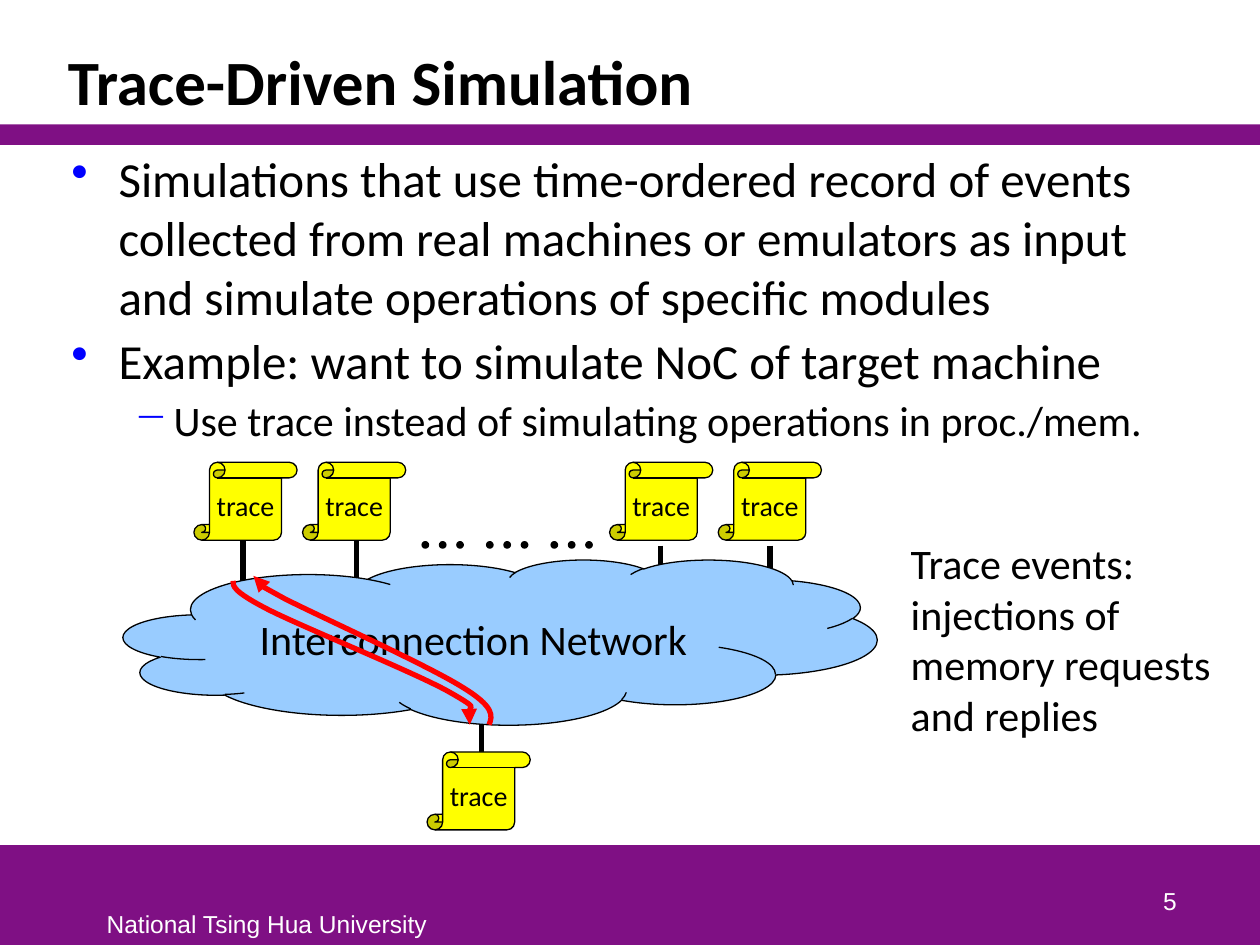
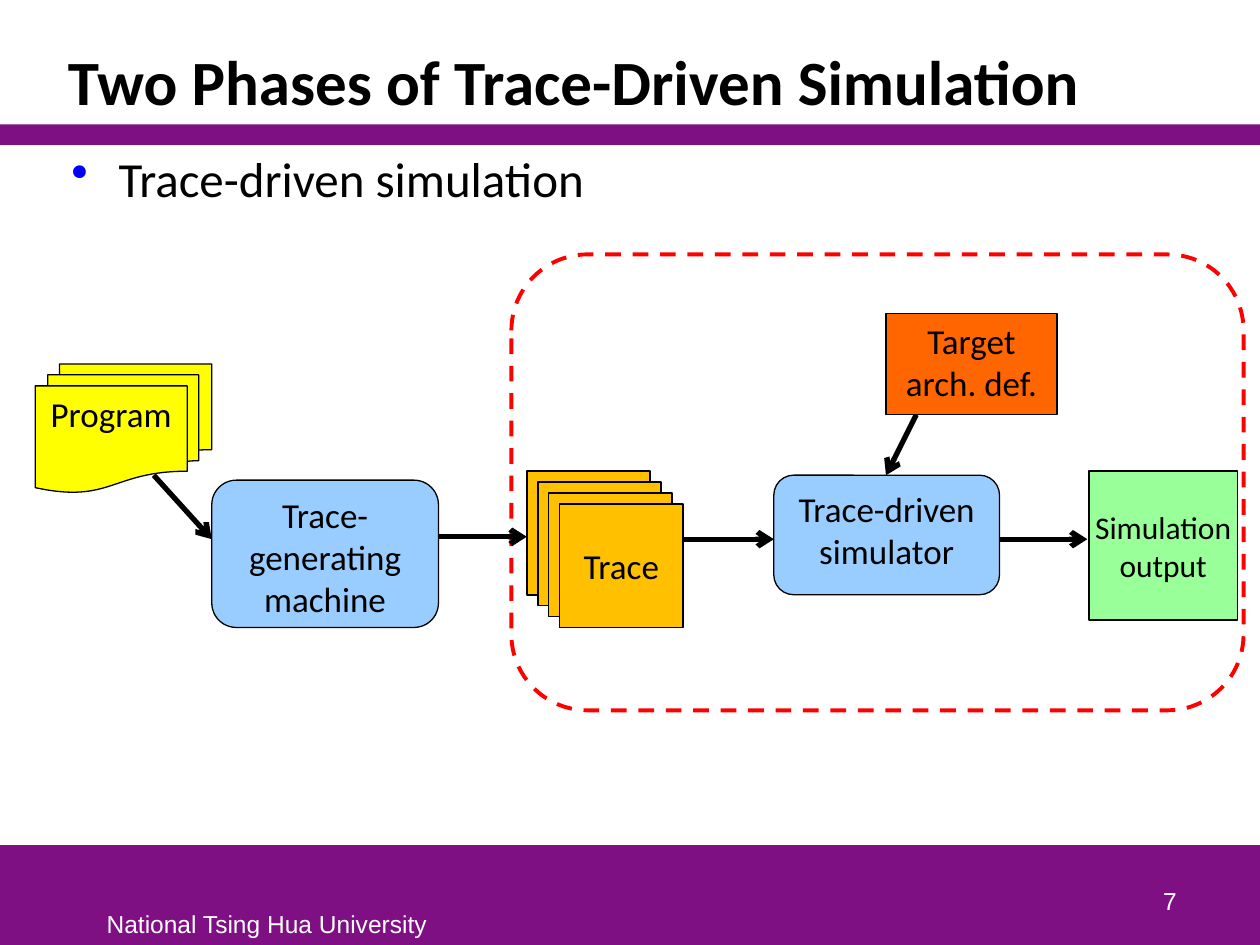
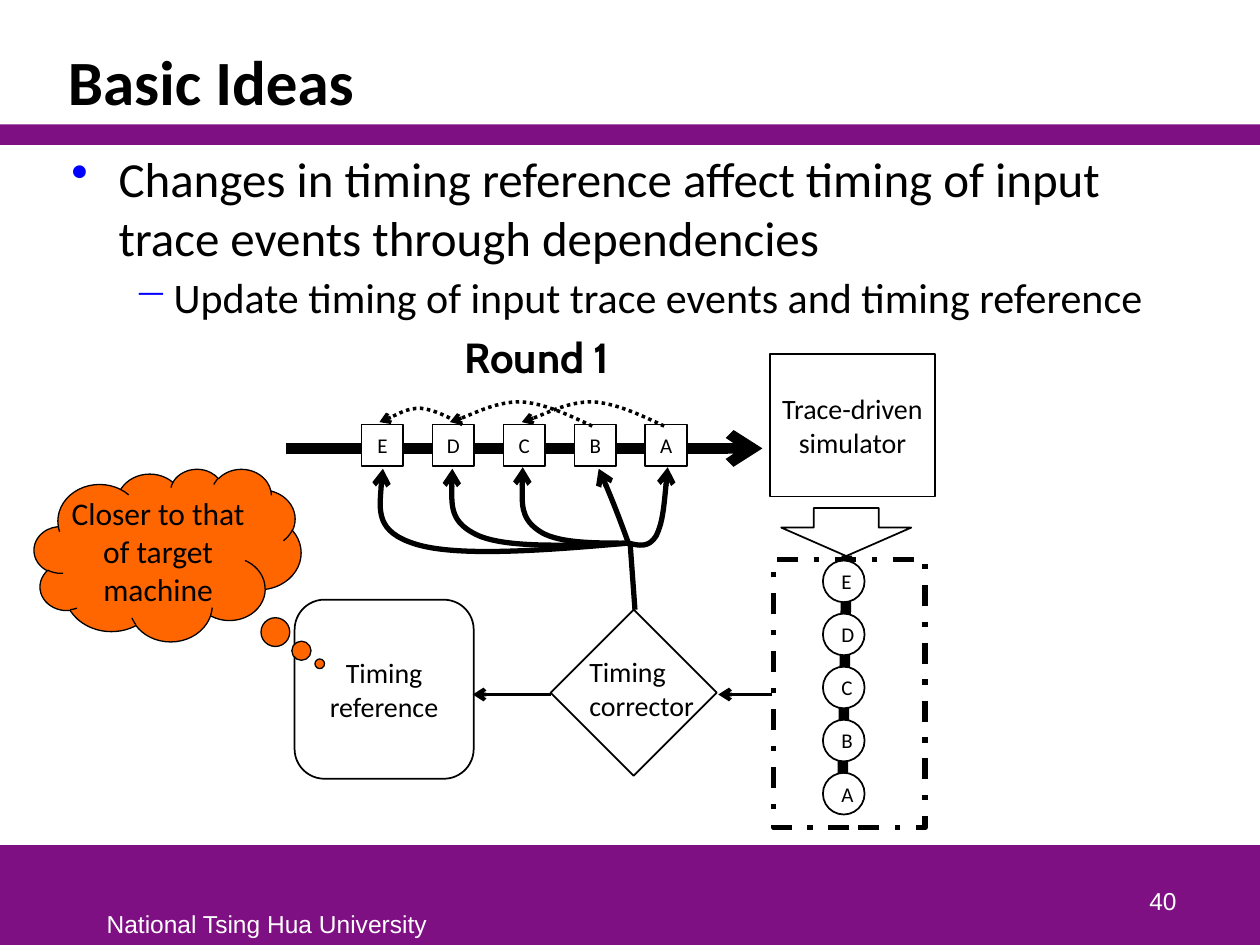
from dataclasses import dataclass
from typing import NamedTuple, Optional

from lxml.etree import SubElement
from pptx import Presentation
from pptx.dml.color import RGBColor
from pptx.enum.dml import MSO_LINE as Dash
from pptx.enum.shapes import MSO_CONNECTOR, MSO_SHAPE as Preset
from pptx.enum.text import MSO_ANCHOR as Anchor, PP_ALIGN as Align
from pptx.oxml.ns import qn
from pptx.shapes.base import BaseShape
from pptx.slide import Slide
from pptx.text.text import TextFrame
from pptx.util import Cm, Pt

PURPLE = RGBColor(0x7F, 0x10, 0x84)
WHITE = RGBColor(0xFF, 0xFF, 0xFF)
BLACK = RGBColor(0x00, 0x00, 0x00)
RED = RGBColor(0xFF, 0x00, 0x00)
YELLOW = RGBColor(0xFF, 0xFF, 0x00)
SKY = RGBColor(0x99, 0xCC, 0xFF)
AMBER = RGBColor(0xFF, 0xC0, 0x00)
ORANGE = RGBColor(0xFF, 0x66, 0x00)
MINT = RGBColor(0x99, 0xFF, 0x99)
BULLET_HEX = "0000FF"

UNIVERSITY = "National Tsing Hua University"


class Box(NamedTuple):
    """Left, top, width and height in centimetres."""
    left: float
    top: float
    width: float
    height: float


class Point(NamedTuple):
    """Position in centimetres."""
    x: float
    y: float


@dataclass(frozen=True)
class Style:
    """Look of the text in one box."""
    size: float
    font: str = "Calibri"
    color: RGBColor = BLACK
    bold: bool = False
    align: Align = Align.LEFT
    anchor: Anchor = Anchor.TOP
    wrap: bool = True
    tight: bool = False
    spacing: Optional[float] = None


@dataclass(frozen=True)
class Stroke:
    width: float = 0.75
    color: RGBColor = BLACK
    dash: Optional[Dash] = None
    arrow: Optional[str] = None


@dataclass(frozen=True)
class Node:
    preset: Preset
    box: Box
    fill: Optional[RGBColor] = WHITE
    stroke: Optional[Stroke] = Stroke()
    lines: tuple[str, ...] = ()
    style: Optional[Style] = None
    adjustments: tuple[float, ...] = ()


@dataclass(frozen=True)
class Level:
    marker: str
    size: float
    margin: float
    hanging: float


@dataclass(frozen=True)
class Bullet:
    text: str
    level: Level


MAIN = Level("•", 28, 0.95, 0.95)
SUB = Level("−", 24, 2.06, 0.79)

TITLE = Style(36, bold=True, anchor=Anchor.BOTTOM, spacing=0.85)
FOOTER = Style(14, "Arial", WHITE, wrap=False)
PAGE_NUMBER = Style(14, "Arial", WHITE, align=Align.RIGHT, anchor=Anchor.BOTTOM)
THIN = Stroke(1)
BOLD = Stroke(3)
BOLD_ARROW = Stroke(3, arrow="arrow")


def centred(size: float, anchor: Anchor = Anchor.MIDDLE,
            wrap: bool = True, tight: bool = False) -> Style:
    return Style(size, align=Align.CENTER, anchor=anchor, wrap=wrap, tight=tight)


def write(frame: TextFrame, lines: tuple[str, ...], style: Style) -> None:
    frame.word_wrap = style.wrap
    frame.vertical_anchor = style.anchor
    if style.tight:
        frame.margin_left = frame.margin_right = Cm(0)
        frame.margin_top = frame.margin_bottom = Cm(0)
    frame.text = "\n".join(lines)
    for paragraph in frame.paragraphs:
        paragraph.alignment = style.align
        if style.spacing:
            paragraph.line_spacing = style.spacing
        font = paragraph.font
        font.name, font.size, font.bold = style.font, Pt(style.size), style.bold
        font.color.rgb = style.color


def place(box: Box) -> list[Cm]:
    return [Cm(length) for length in box]


def add_text(slide: Slide, box: Box, lines: tuple[str, ...], style: Style) -> None:
    write(slide.shapes.add_textbox(*place(box)).text_frame, lines, style)


def draw_stroke(shape: BaseShape, stroke: Stroke) -> None:
    line = shape.line
    line.width = Pt(stroke.width)
    line.color.rgb = stroke.color
    if stroke.dash:
        line.dash_style = stroke.dash
    if stroke.arrow:
        outline = shape.element.spPr.find(qn("a:ln"))
        SubElement(outline, qn("a:tailEnd"), type=stroke.arrow)


def add_node(slide: Slide, node: Node) -> None:
    shape = slide.shapes.add_shape(node.preset, *place(node.box))
    shape.shadow.inherit = False
    for index, value in enumerate(node.adjustments):
        shape.adjustments[index] = value
    if node.fill is None:
        shape.fill.background()
    else:
        shape.fill.solid()
        shape.fill.fore_color.rgb = node.fill
    if node.stroke is None:
        shape.line.fill.background()
    else:
        draw_stroke(shape, node.stroke)
    if node.style:
        write(shape.text_frame, node.lines, node.style)


def add_line(slide: Slide, start: Point, end: Point, stroke: Stroke) -> None:
    connector = slide.shapes.add_connector(
        MSO_CONNECTOR.STRAIGHT, *(Cm(length) for length in (*start, *end)))
    draw_stroke(connector, stroke)
    SubElement(connector.element.spPr, qn("a:effectLst"))


def add_curve(slide: Slide, points: list[Point], stroke: Stroke) -> None:
    """Draw cubic curves: a start, then two control points and an end for each."""
    start, *rest = [(Cm(x), Cm(y)) for x, y in points]
    builder = slide.shapes.build_freeform(*start)
    builder.add_line_segments(rest, close=False)
    shape = builder.convert_to_shape()
    segments = list(shape.element.iter(qn("a:lnTo")))
    for first in range(0, len(segments), 3):
        outline = segments[first].getparent()
        curve = SubElement(outline, qn("a:cubicBezTo"))
        for segment in segments[first:first + 3]:
            curve.append(segment[0])
            outline.remove(segment)
    shape.shadow.inherit = False
    shape.fill.background()
    draw_stroke(shape, stroke)


def add_bullets(slide: Slide, bullets: list[Bullet]) -> None:
    frame = slide.shapes.add_textbox(*place(Box(1.19, 2.87, 22.71, 14.05))).text_frame
    frame.word_wrap = True
    for index, bullet in enumerate(bullets):
        paragraph = frame.add_paragraph() if index else frame.paragraphs[0]
        paragraph.text = bullet.text
        if index:
            paragraph.space_before = Pt(3)
        level = bullet.level
        properties = paragraph._p.get_or_add_pPr()
        properties.set("marL", str(Cm(level.margin)))
        properties.set("indent", str(-Cm(level.hanging)))
        marker_color = SubElement(properties, qn("a:buClr"))
        SubElement(marker_color, qn("a:srgbClr"), val=BULLET_HEX)
        SubElement(properties, qn("a:buChar"), char=level.marker)
        paragraph.font.name = "Calibri"
        paragraph.font.size = Pt(level.size)
        paragraph.font.color.rgb = BLACK


def start_slide(deck: Presentation, title: str, number: int,
                bullets: list[Bullet]) -> Slide:
    """Add a slide with the shared bands, footer, title and bullets."""
    slide = deck.slides.add_slide(deck.slide_layouts[6])
    for band in (Box(0, 17.04, 25.4, 2.01), Box(0, 2.51, 25.4, 0.41)):
        add_node(slide, Node(Preset.RECTANGLE, band, PURPLE, None))
    add_text(slide, Box(1.9, 18.21, 7.01, 0.84), (UNIVERSITY,), FOOTER)
    add_text(slide, Box(1.12, 0.64, 22.78, 1.88), (title,), TITLE)
    add_text(slide, Box(18.69, 17.3, 5.28, 1.27), (str(number),), PAGE_NUMBER)
    add_bullets(slide, bullets)
    return slide


def build_trace_driven(deck: Presentation) -> None:
    slide = start_slide(deck, "Trace-Driven Simulation", 5, [
        Bullet("Simulations that use time-ordered record of events collected from "
               "real machines or emulators as input and simulate operations of "
               "specific modules", MAIN),
        Bullet("Example: want to simulate NoC of target machine", MAIN),
        Bullet("Use trace instead of simulating operations in proc./mem.", SUB),
    ])
    for group in range(3):
        for dot in range(3):
            spot = Box(8.51 + 1.3 * group + 0.35 * dot, 10.92, 0.13, 0.13)
            add_node(slide, Node(Preset.OVAL, spot, BLACK))
    for x, top, bottom in ((4.9, 10.9, 11.81), (7.19, 10.9, 11.81), (13.31, 11, 11.61),
                           (15.52, 11, 11.71), (9.7, 14.15, 15.19)):
        add_line(slide, Point(x, top), Point(x, bottom), BOLD)
    add_node(slide, Node(Preset.CLOUD, Box(2.49, 11.28, 15.19, 3.33), SKY,
                         lines=("Interconnection Network",), style=centred(24)))
    for left, top in ((3.91, 9.32), (6.1, 9.32), (12.29, 9.32), (14.48, 9.32),
                      (8.61, 15.16)):
        add_node(slide, Node(Preset.VERTICAL_SCROLL, Box(left, top, 2.08, 1.57), YELLOW,
                             lines=("trace",), style=centred(16, tight=True),
                             adjustments=(0.2,)))
    request = [Point(4.7, 11.71),
               Point(4.7, 11.81), Point(4.67, 11.91), Point(5.41, 12.29),
               Point(6.12, 12.65), Point(8.36, 13.56), Point(9.04, 13.94),
               Point(9.73, 14.33), Point(9.37, 14.48), Point(9.47, 14.61)]
    reply = [Point(9.86, 14.61),
             Point(9.93, 14.43), Point(9.98, 14.25), Point(9.3, 13.84),
             Point(8.61, 13.41), Point(6.43, 12.42), Point(5.74, 12.07),
             Point(5.03, 11.68), Point(5.08, 11.63), Point(5.11, 11.61)]
    for message in (request, reply):
        add_curve(slide, message, Stroke(3, RED, arrow="triangle"))
    add_text(slide, Box(18.11, 10.72, 6.88, 4.37),
             ("Trace events: injections of memory requests and replies",), Style(24))


def build_two_phases(deck: Presentation) -> None:
    slide = start_slide(deck, "Two Phases of Trace-Driven Simulation", 7,
                        [Bullet("Trace-driven simulation", MAIN)])
    add_node(slide, Node(Preset.ROUNDED_RECTANGLE, Box(10.31, 5.13, 14.76, 9.19), None,
                         Stroke(2.25, RED, Dash.DASH)))
    for sheet, lines in enumerate(((), (), (), ("Trace",))):
        offset = 0.22 * sheet
        add_node(slide, Node(Preset.RECTANGLE, Box(10.62 + offset, 9.5 + offset, 2.49, 2.49),
                             AMBER, THIN, lines, centred(20, wrap=False)))
    for start, end in ((Point(8.81, 10.82), Point(10.62, 10.82)),
                       (Point(13.79, 10.87), Point(15.6, 10.87)),
                       (Point(18.47, 8.36), Point(17.86, 9.58)),
                       (Point(20.12, 10.87), Point(21.92, 10.87)),
                       (Point(3.1, 9.58), Point(4.27, 10.87))):
        add_line(slide, start, end, BOLD_ARROW)
    label = centred(20, Anchor.TOP)
    machine = Preset.FLOWCHART_ALTERNATE_PROCESS
    for node in (
        Node(Preset.RECTANGLE, Box(21.95, 9.5, 3, 3), MINT, THIN,
             ("Simulation", "output"), centred(18, wrap=False)),
        Node(Preset.FLOWCHART_MULTIDOCUMENT, Box(0.71, 7.34, 3.56, 2.59), YELLOW,
             lines=("Program",), style=label),
        Node(Preset.FLOWCHART_PROCESS, Box(17.86, 6.32, 3.45, 2.03), ORANGE,
             lines=("Target", "arch. def."), style=label),
        Node(machine, Box(4.27, 9.68, 4.57, 2.97), SKY,
             lines=("Trace-generating machine",), style=label),
        Node(machine, Box(15.6, 9.58, 4.55, 2.41), SKY,
             lines=("Trace-driven simulator",), style=label),
    ):
        add_node(slide, node)


def build_basic_ideas(deck: Presentation) -> None:
    slide = start_slide(deck, "Basic Ideas", 40, [
        Bullet("Changes in timing reference affect timing of input trace events "
               "through dependencies", MAIN),
        Bullet("Update timing of input trace events and timing reference", SUB),
    ])
    add_node(slide, Node(Preset.RECTANGLE, Box(15.6, 11.28, 3.05, 5.41),
                         stroke=Stroke(3, dash=Dash.DASH_DOT)))
    add_line(slide, Point(17.07, 11.2), Point(16.99, 15.6), Stroke(6))
    add_line(slide, Point(5.77, 9.04), Point(15.37, 9.04), Stroke(6, arrow="arrow"))
    for index, event in enumerate("EDCBA"):
        for preset, left, top in ((Preset.RECTANGLE, 7.29 + 1.43 * index, 8.56),
                                  (Preset.OVAL, 16.59, 11.3 + 1.07 * index)):
            add_node(slide, Node(preset, Box(left, top, 0.84, 0.84), stroke=THIN,
                                 lines=(event,), style=centred(12)))
    for node in (
        Node(Preset.DOWN_ARROW, Box(15.75, 10.24, 2.62, 0.97), stroke=THIN,
             adjustments=(0.5, 0.59)),
        Node(Preset.RECTANGLE, Box(15.52, 7.14, 3.33, 2.87), stroke=THIN,
             lines=("Trace-driven simulator",), style=centred(16)),
        Node(Preset.ROUNDED_RECTANGLE, Box(5.94, 12.09, 3.61, 3.61), stroke=THIN,
             lines=("Timing", "reference"), style=centred(16)),
        Node(Preset.DIAMOND, Box(11.1, 12.29, 3.35, 3.35), stroke=THIN),
    ):
        add_node(slide, node)
    add_text(slide, Box(11.63, 13.08, 2.64, 1.63), ("Timing", "corrector"), Style(16))

    short_dependency = [Point(9.32, 8.56),
                        Point(9.04, 8.41), Point(8.76, 8.26), Point(8.48, 8.23),
                        Point(8.2, 8.23), Point(7.77, 8.48), Point(7.65, 8.51)]
    long_dependency = [Point(13.39, 8.59),
                       Point(12.9, 8.36), Point(12.42, 8.13), Point(11.94, 8.1),
                       Point(11.46, 8.1), Point(10.74, 8.46), Point(10.52, 8.51)]
    next_dependency = [Point(x - 1.45, y) for x, y in long_dependency]
    for dependency in (short_dependency, long_dependency, next_dependency):
        add_curve(slide, dependency, Stroke(2, dash=Dash.ROUND_DOT, arrow="arrow"))

    for start, end in ((11.1, 9.53), (15.57, 14.48)):
        add_line(slide, Point(start, 14), Point(end, 14), Stroke(2.25, arrow="arrow"))
    add_line(slide, Point(12.8, 12.29), Point(12.7, 10.92), BOLD)
    junction = Point(12.67, 10.95)
    for correction in (
        [Point(12.88, 11), Point(13.08, 11.05), Point(13.23, 10.8),
         Point(13.36, 10.54), Point(13.41, 9.98), Point(13.46, 9.42)],
        [Point(12.4, 10.21), Point(12.09, 9.47), Point(12.07, 9.45)],
        [Point(11.94, 10.95), Point(11.2, 10.95), Point(10.85, 10.69),
         Point(10.49, 10.44), Point(10.52, 9.93), Point(10.54, 9.42)],
        [Point(11.46, 11), Point(10.24, 11.05), Point(9.65, 10.8),
         Point(9.07, 10.54), Point(9.09, 9.98), Point(9.12, 9.45)],
        [Point(10.95, 11.1), Point(9.22, 11.23), Point(8.38, 10.97),
         Point(7.57, 10.72), Point(7.65, 10.08), Point(7.72, 9.45)],
    ):
        add_curve(slide, [junction, *correction], BOLD_ARROW)
    add_text(slide, Box(9.12, 6.55, 4.27, 1.27), ("Round 1",),
             Style(24, "Cabin", bold=True, anchor=Anchor.MIDDLE))
    add_node(slide, Node(Preset.CLOUD_CALLOUT, Box(0.69, 9.45, 5.38, 3.48), ORANGE,
                         lines=("Closer to that of target machine",),
                         style=centred(18, tight=True), adjustments=(0.57, 0.63)))


def main() -> None:
    deck = Presentation()
    deck.slide_width, deck.slide_height = Cm(25.4), Cm(19.05)
    build_trace_driven(deck)
    build_two_phases(deck)
    build_basic_ideas(deck)
    deck.save("out.pptx")


if __name__ == "__main__":
    main()
